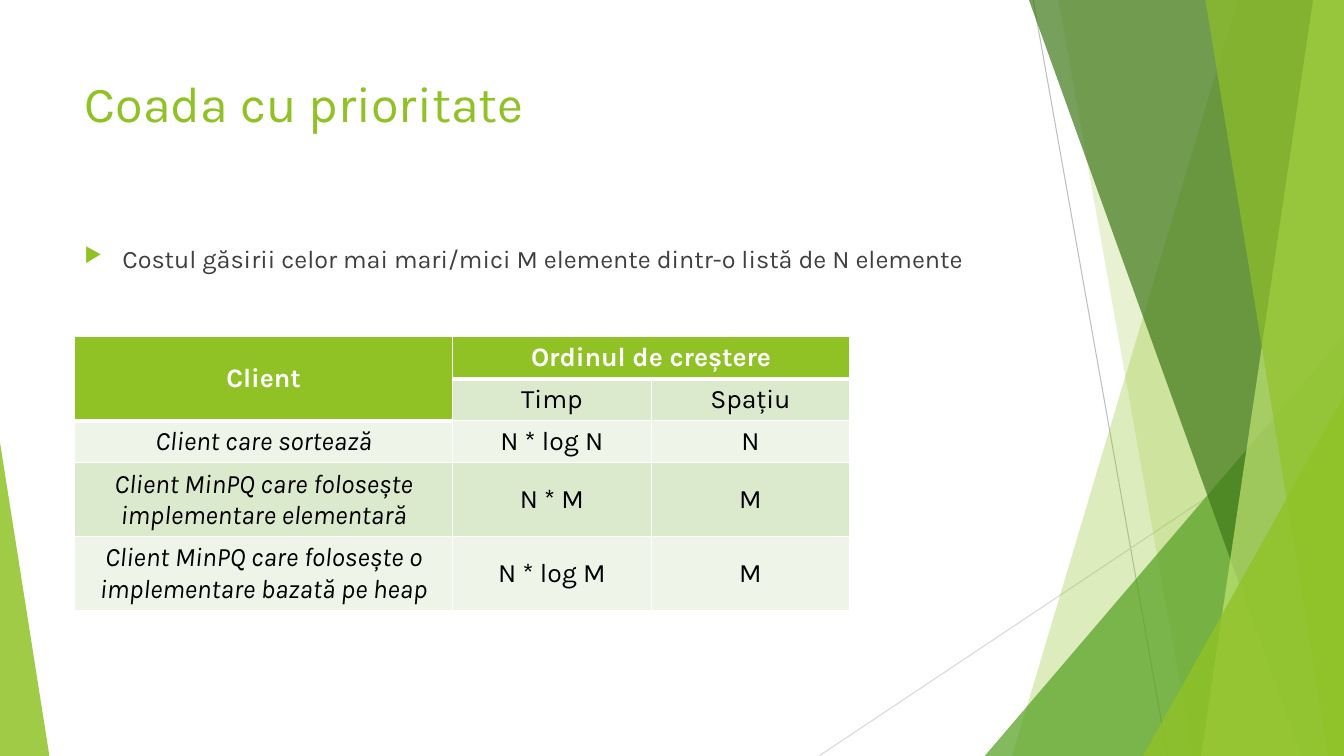
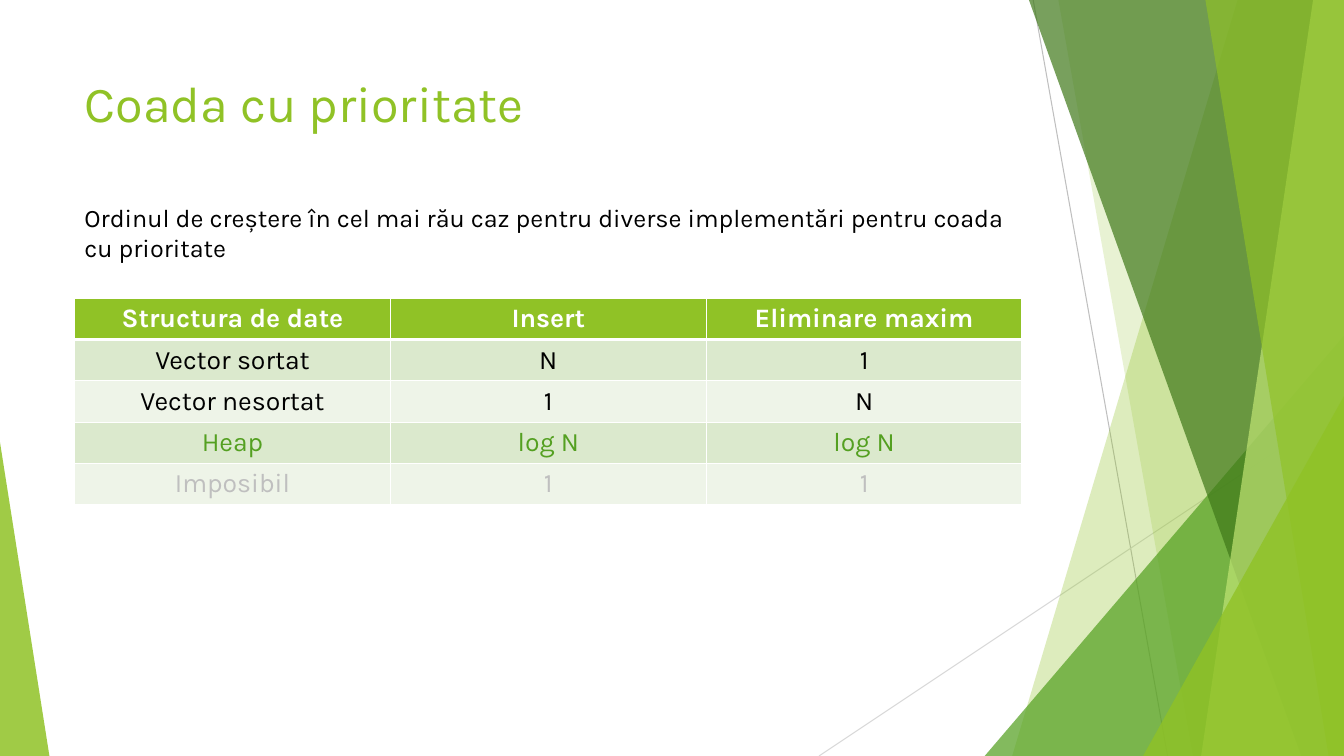
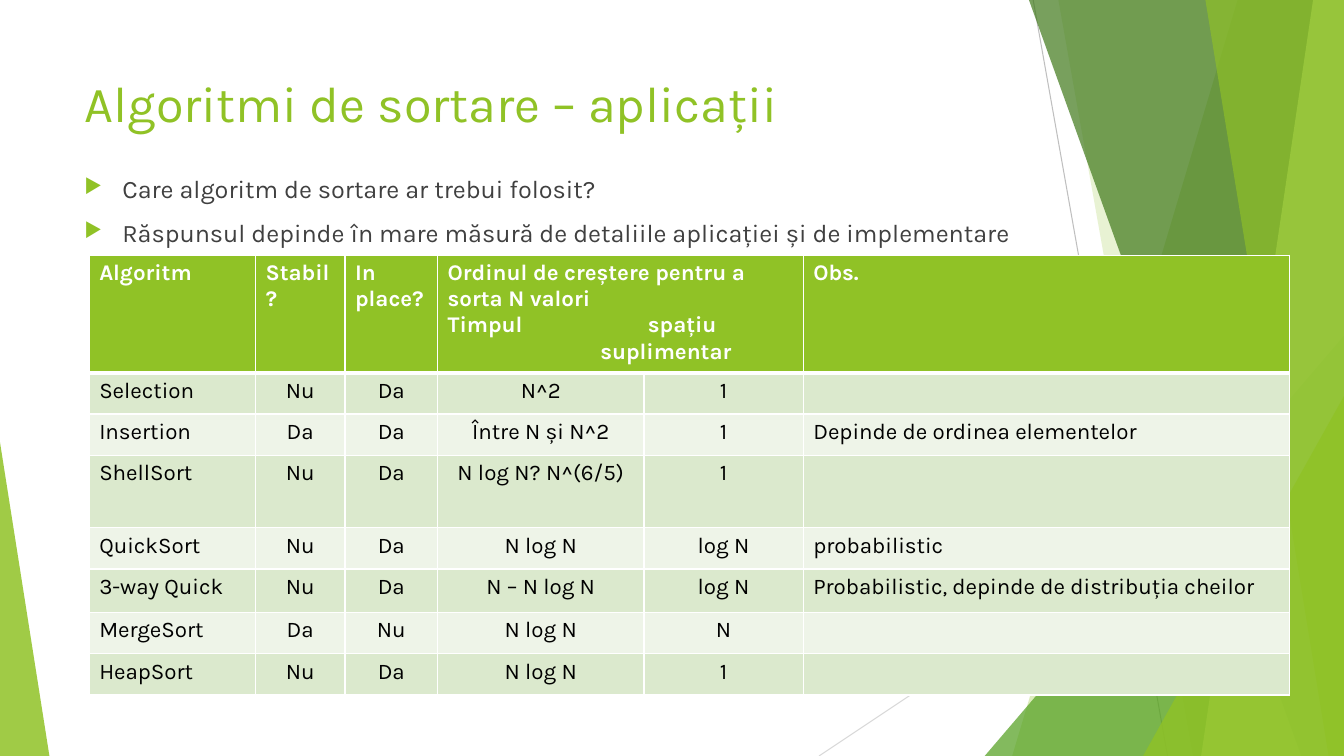
import dataclasses

import pptx
import pptx.dml.color
import pptx.enum.shapes
import pptx.enum.text
import pptx.oxml
import pptx.oxml.ns
import pptx.util
from lxml import etree

Pt = pptx.util.Pt
qn = pptx.oxml.ns.qn
ALIGN = pptx.enum.text.PP_ALIGN
ANCHOR = pptx.enum.text.MSO_ANCHOR
SHAPE = pptx.enum.shapes.MSO_SHAPE


@dataclasses.dataclass(frozen=True)
class Theme:
    font: str = "Karla"
    lime: str = "90C226"
    green: str = "54A021"
    forest: str = "3F7819"
    pale_lime: str = "C0E474"
    black: str = "000000"
    white: str = "FFFFFF"
    gray: str = "404040"
    silver: str = "BFBFBF"
    light_gray: str = "D9D9D9"
    bands: tuple = ("EEF4E8", "DBE9CD")
    title_size: float = 36
    table_size: float = 19
    body_size: float = 18
    small_size: float = 16
    width: float = 960
    height: float = 540
    left: float = 53.3
    text_width: float = 676.8
    row_height: float = 29.5


THEME = Theme()


def rgb(code):
    return pptx.dml.color.RGBColor.from_string(code)


def add_xml(parent, tag, **attributes):
    return etree.SubElement(parent, qn(tag), attributes)


class Presenter:
    """Holds the deck, its theme and the slide being filled."""

    def __init__(self, theme):
        self.theme = theme
        self.deck = pptx.Presentation()
        self.deck.slide_width = Pt(theme.width)
        self.deck.slide_height = Pt(theme.height)
        self.layout = self.deck.slide_layouts[5]
        self.page = None

    def start_page(self, title):
        theme = self.theme
        self.page = self.deck.slides.add_slide(self.layout)
        if len(self.deck.slides) == 1:
            self.decorate_layout()
        box = self.page.shapes.title
        self.place(box, theme.left, 48, theme.text_width, 104)
        box.text_frame.text = title
        box.text_frame.vertical_anchor = ANCHOR.TOP
        box.text_frame.auto_size = pptx.enum.text.MSO_AUTO_SIZE.NONE
        self.format(box.text_frame.paragraphs[0], theme.title_size, theme.lime)

    def place(self, shape, left, top, width, height):
        shape.left, shape.top = Pt(left), Pt(top)
        shape.width, shape.height = Pt(width), Pt(height)

    def format(self, para, size, color, align=ALIGN.LEFT, bold=False, italic=False):
        para.alignment = align
        for span in para.runs:
            span.font.name = self.theme.font
            span.font.size = Pt(size)
            span.font.bold = bold
            span.font.italic = italic
            span.font.color.rgb = rgb(color)

    def decorate_layout(self):
        """Draw the facets as one group and move it to the layout, behind its placeholders."""
        theme = self.theme
        right, bottom = theme.width, theme.height
        group = self.page.shapes.add_group_shape()
        shapes = group.shapes
        self.line(shapes, (738, 0), (834, bottom), theme.silver)
        self.line(shapes, (right, 290), (585, bottom), theme.light_gray)
        self.facet(shapes, 884, 723, theme.lime, 30)
        self.facet(shapes, 756, 852, theme.lime, 20)
        self.triangle(shapes, 703.4, 239.8, right, 1, theme.green, 72)
        self.facet(shapes, 735, 929.5, theme.forest, 70)
        self.facet(shapes, 938, 858, theme.pale_lime, 70)
        self.facet(shapes, 861, 949, theme.lime, 65)
        self.triangle(shapes, 816.5, 283, right, 1, theme.lime, 80)
        self.triangle(shapes, 0, 316, 35.3, 0, theme.lime, 85)
        self.layout.shapes.element.insert(2, group.element)

    def line(self, shapes, start, end, color):
        connector = shapes.add_connector(
            pptx.enum.shapes.MSO_CONNECTOR.STRAIGHT, *map(Pt, start + end))
        connector.line.color.rgb = rgb(color)
        connector.line.width = Pt(0.75)
        add_xml(connector.element.spPr, "a:effectLst")

    def facet(self, shapes, top_x, bottom_x, color, opacity):
        """Add a full-height area from a slanted left edge to the right side."""
        right, bottom = Pt(self.theme.width), Pt(self.theme.height)
        builder = shapes.build_freeform(Pt(top_x), 0)
        builder.add_line_segments([(right, 0), (right, bottom), (Pt(bottom_x), bottom)])
        self.tint(builder.convert_to_shape(), color, opacity)

    def triangle(self, shapes, left, top, right, apex, color, opacity):
        shape = shapes.add_shape(SHAPE.ISOSCELES_TRIANGLE, Pt(left), Pt(top),
                                 Pt(right - left), Pt(self.theme.height - top))
        shape.adjustments[0] = apex
        self.tint(shape, color, opacity)

    def tint(self, shape, color, opacity):
        shape.shadow.inherit = False
        shape.line.fill.background()
        shape.fill.solid()
        shape.fill.fore_color.rgb = rgb(color)
        tone = shape.element.spPr.find(qn("a:solidFill")).find(qn("a:srgbClr"))
        add_xml(tone, "a:alpha", val=str(opacity * 1000))

    def text(self, top, height, lines, color, bulleted=False):
        theme = self.theme
        box = self.page.shapes.add_textbox(
            Pt(theme.left), Pt(top), Pt(theme.text_width), Pt(height))
        box.text_frame.word_wrap = True
        box.text_frame.text = "\n".join(lines)
        for para in box.text_frame.paragraphs:
            self.format(para, theme.body_size, color)
            if bulleted:
                para.space_before = Pt(10)
                self.bullet(para)

    def bullet(self, para):
        properties = para._p.get_or_add_pPr()
        properties.set("marL", str(Pt(27)))
        properties.set("indent", str(-Pt(27)))
        add_xml(add_xml(properties, "a:buClr"), "a:srgbClr", val=self.theme.lime)
        add_xml(properties, "a:buSzPct", val="80000")
        add_xml(properties, "a:buChar", char="▶")

    def table(self, left, top, widths, heights, rows, size, merges=(), anchor=ANCHOR.MIDDLE,
              left_columns=(), italic_first=False, row_colors=None):
        """Add a banded table; with left_columns given, its header is left-aligned too."""
        theme = self.theme
        frame = self.page.shapes.add_table(
            len(rows), len(widths), Pt(left), Pt(top), Pt(sum(widths)), Pt(sum(heights)))
        table = frame.table
        for column, width in zip(table.columns, widths):
            column.width = Pt(width)
        for row, height in zip(table.rows, heights):
            row.height = Pt(height)
        for first, last in merges:
            table.cell(*first).merge(table.cell(*last))
        for r, texts in enumerate(rows):
            for c, text in enumerate(texts):
                cell = table.cell(r, c)
                header = r == 0 or cell.is_spanned
                cell.vertical_anchor = anchor
                self.borders(cell, header)
                cell.fill.solid()
                cell.fill.fore_color.rgb = rgb(theme.lime if header else theme.bands[r % 2])
                cell.text_frame.text = text
                color = theme.white if header else (row_colors or {}).get(r, theme.black)
                to_left = c in left_columns or (header and left_columns)
                for para in cell.text_frame.paragraphs:
                    self.format(para, size, color, ALIGN.LEFT if to_left else ALIGN.CENTER,
                                bold=header, italic=italic_first and c == 0 and not header)
        return table

    def borders(self, cell, header):
        """Draw white borders; body cells take their top border from the cell above."""
        widths = {"L": 1, "R": 1, "T": 1, "B": 3} if header else {"L": 1, "R": 1, "B": 1}
        for side, width in widths.items():
            edge = add_xml(cell._tc.get_or_add_tcPr(), "a:ln" + side, w=str(Pt(width)))
            add_xml(add_xml(edge, "a:solidFill"), "a:srgbClr", val=self.theme.white)


def build_client_costs(show):
    theme = show.theme
    show.start_page("Coada cu prioritate")
    show.text(170, 45.4, ["Costul găsirii celor mai mari/mici M elemente dintr-o listă de N elemente"],
              theme.gray, bulleted=True)
    rows = [
        ("Client", "Ordinul de creștere", ""),
        ("", "Timp", "Spațiu"),
        ("Client care sortează", "N * log N", "N"),
        ("Client MinPQ care folosește implementare elementară", "N * M", "M"),
        ("Client MinPQ care folosește o implementare bazată pe heap", "N * log M", "M"),
    ]
    show.table(theme.left, 240.5, [270, 141.8, 141.8], [theme.row_height] * 3 + [51.8] * 2,
               rows, theme.table_size, merges=[((0, 0), (1, 0)), ((0, 1), (0, 2))],
               italic_first=True)


def build_structure_costs(show):
    theme = show.theme
    show.start_page("Coada cu prioritate")
    rows = [
        ("Structura de date", "Insert", "Eliminare maxim"),
        ("Vector sortat", "N", "1"),
        ("Vector nesortat", "1", "N"),
        ("Heap", "log N", "log N"),
        ("Imposibil", "1", "1"),
    ]
    show.table(theme.left, 213.1, [theme.text_width / 3] * 3, [theme.row_height] * len(rows),
               rows, theme.table_size, row_colors={3: theme.green, 4: theme.silver})
    show.text(141.1, 50.9, ["Ordinul de creștere în cel mai rău caz pentru diverse "
                            "implementări pentru coada cu prioritate"], theme.black)


def build_sorting_comparison(show):
    theme = show.theme
    show.start_page("Algoritmi de sortare – aplicații")
    show.text(120.2, 355.7,
              ["Care algoritm de sortare ar trebui folosit?",
               "Răspunsul depinde în mare măsură de detaliile aplicației și de implementare"],
              theme.gray, bulleted=True)
    growth = "Ordinul de creștere pentru a sorta N valori\nTimpul\tspațiu\nsuplimentar"
    rows = [
        ("Algoritm", "Stabil?", "In place?", growth, "", "Obs."),
        ("Selection", "Nu", "Da", "N^2", "1", ""),
        ("Insertion", "Da", "Da", "Între N și N^2", "1", "Depinde de ordinea elementelor"),
        ("ShellSort", "Nu", "Da", "N log N? N^(6/5)", "1", ""),
        ("QuickSort", "Nu", "Da", "N log N", "log N", "probabilistic"),
        ("3-way Quick", "Nu", "Da", "N – N log N", "log N",
         "Probabilistic, depinde de distribuția cheilor"),
        ("MergeSort", "Da", "Nu", "N log N", "N", ""),
        ("HeapSort", "Nu", "Da", "N log N", "1", ""),
    ]
    low = theme.row_height
    table = show.table(63.7, 182.2, [118.8, 63.9, 66.2, 147.4, 113.8, 347.6],
                       [55.4, low, low, 51.8, low, 31, low, low], rows, theme.small_size,
                       merges=[((0, 3), (0, 4))], anchor=ANCHOR.TOP, left_columns=(0, 5))
    _, time_and_space, extra = table.cell(0, 3).text_frame.paragraphs
    stops = add_xml(time_and_space._p.get_or_add_pPr(), "a:tabLst")
    add_xml(stops, "a:tab", pos=str(Pt(143)), algn="l")
    extra._p.get_or_add_pPr().set("marL", str(Pt(109)))


def main():
    show = Presenter(THEME)
    build_client_costs(show)
    build_structure_costs(show)
    build_sorting_comparison(show)
    show.deck.save("out.pptx")


if __name__ == "__main__":
    main()
